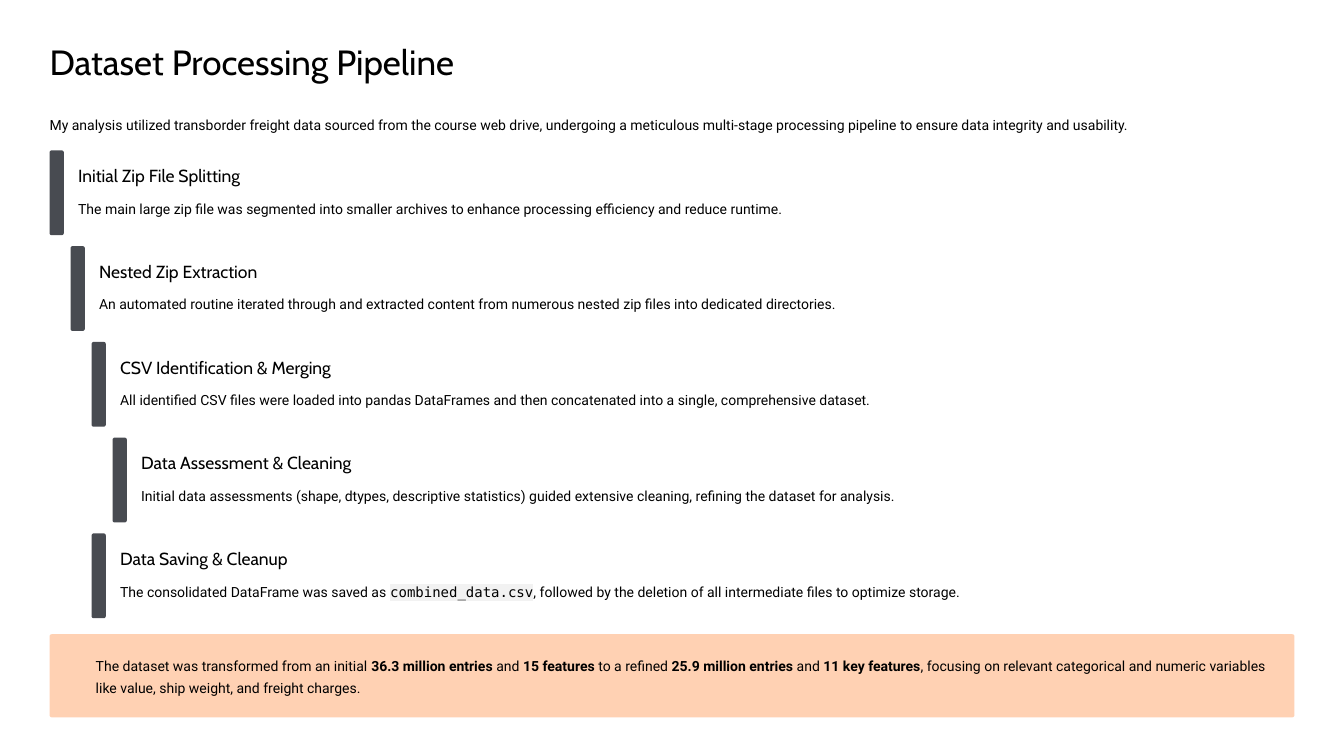
from dataclasses import dataclass

from lxml.etree import SubElement
from pptx import Presentation
from pptx.dml.color import RGBColor
from pptx.enum.shapes import MSO_SHAPE
from pptx.oxml.ns import qn
from pptx.util import Emu, Pt


@dataclass(frozen=True)
class Theme:
    """Colours, fonts and type sizes of the slide."""
    paper: str = "FFFFFF"
    ink: str = "000000"
    bar: str = "484B51"
    callout: str = "FFD1B3"
    code_back: str = "F2F2F2"
    head_font: str = "Cabin"
    body_font: str = "Roboto"
    code_font: str = "DejaVu Sans Mono"
    title: tuple = (30, 37.5)
    heading: tuple = (15, 18.5)
    body: tuple = (12, 19)


THEME = Theme()
EMU_PER_PX = 9144
STEP_PITCH = 114
STEP_INDENT = 25
STEPS = [
    (0, "Initial Zip File Splitting",
     [("The main large zip file was segmented into smaller archives to enhance "
       "processing efficiency and reduce runtime.", "")]),
    (1, "Nested Zip Extraction",
     [("An automated routine iterated through and extracted content from numerous "
       "nested zip files into dedicated directories.", "")]),
    (2, "CSV Identification & Merging",
     [("All identified CSV files were loaded into pandas DataFrames and then "
       "concatenated into a single, comprehensive dataset.", "")]),
    (3, "Data Assessment & Cleaning",
     [("Initial data assessments (shape, dtypes, descriptive statistics) guided "
       "extensive cleaning, refining the dataset for analysis.", "")]),
    (2, "Data Saving & Cleanup",
     [("The consolidated DataFrame was saved as ", ""), ("combined_data.csv", "code"),
      (", followed by the deletion of all intermediate files to optimize storage.", "")]),
]
SUMMARY = [
    ("The dataset was transformed from an initial ", ""),
    ("36.3 million entries", "bold"), (" and ", ""), ("15 features", "bold"),
    (" to a refined ", ""), ("25.9 million entries", "bold"), (" and ", ""),
    ("11 key features", "bold"),
    (", focusing on relevant categorical and numeric variables like value, "
     "ship weight, and freight charges.", ""),
]


def px(*lengths):
    """Turn px lengths into EMU."""
    return [Emu(n * EMU_PER_PX) for n in lengths]


def add_text(s, box, runs, font, type_size, wrap=False):
    """Add one paragraph of (text, style) runs in a box without margins."""
    size, leading = type_size
    tf = s.shapes.add_textbox(*px(*box)).text_frame
    tf.margin_left = tf.margin_top = tf.margin_right = tf.margin_bottom = 0
    tf.word_wrap = wrap
    p = tf.paragraphs[0]
    p.line_spacing = Pt(leading)
    for text, style in runs:
        r = p.add_run()
        r.text = text
        r.font.size = Pt(size)
        r.font.bold = style == "bold"
        r.font.color.rgb = RGBColor.from_string(THEME.ink)
        r.font.name = THEME.code_font if style == "code" else font
        if style == "code":
            rPr = r.font._element
            highlight = SubElement(rPr, qn("a:highlight"))
            SubElement(highlight, qn("a:srgbClr"), val=THEME.code_back)
            rPr.find(qn("a:solidFill")).addnext(highlight)


def add_panel(s, box, color, rounding):
    """Add a filled rounded rectangle without a line."""
    sp = s.shapes.add_shape(MSO_SHAPE.ROUNDED_RECTANGLE, *px(*box))
    sp.adjustments[0] = rounding
    sp.shadow.inherit = False
    sp.fill.solid()
    sp.fill.fore_color.rgb = RGBColor.from_string(color)
    sp.line.fill.background()


def add_header(s, left, top, width):
    """Add the title and the introduction."""
    add_text(s, (left, top, 537, 53), [("Dataset Processing Pipeline", "")],
             THEME.head_font, THEME.title)
    intro = ("My analysis utilized transborder freight data sourced from the course "
             "web drive, undergoing a meticulous multi-stage processing pipeline to "
             "ensure data integrity and usability.")
    add_text(s, (left, top + 86, width, 27), [(intro, "")],
             THEME.body_font, THEME.body)


def add_step(s, left, top, width, heading, runs):
    """Add one pipeline step: bar, heading and description."""
    add_panel(s, (left, top, 17, 101), THEME.bar, 0.15)
    add_text(s, (left + 34, top + 17, 277, 26), [(heading, "")],
             THEME.head_font, THEME.heading)
    add_text(s, (left + 34, top + 53, width - 34, 27), runs,
             THEME.body_font, THEME.body)


def add_steps(s, left, top, width):
    """Stack the pipeline steps, each indented by its level."""
    for i, (level, heading, runs) in enumerate(STEPS):
        indent = level * STEP_INDENT
        add_step(s, left + indent, top + i * STEP_PITCH, width - indent, heading, runs)


def add_summary(s, left, top, width, height):
    """Add the closing callout."""
    add_panel(s, (left, top, width, height), THEME.callout, 0.026)
    add_text(s, (left + 55, top + 21, width - 72, 54), SUMMARY,
             THEME.body_font, THEME.body, wrap=True)


def main():
    """Build and save the slide."""
    prs = Presentation()
    prs.slide_width, prs.slide_height = px(1600, 900)
    s = prs.slides.add_slide(prs.slide_layouts[6])
    s.background.fill.solid()
    s.background.fill.fore_color.rgb = RGBColor.from_string(THEME.paper)
    add_header(s, 59, 46, 1482)
    add_steps(s, 59, 179, 1482)
    add_summary(s, 59, 755, 1482, 99)
    prs.save("out.pptx")


if __name__ == "__main__":
    main()
